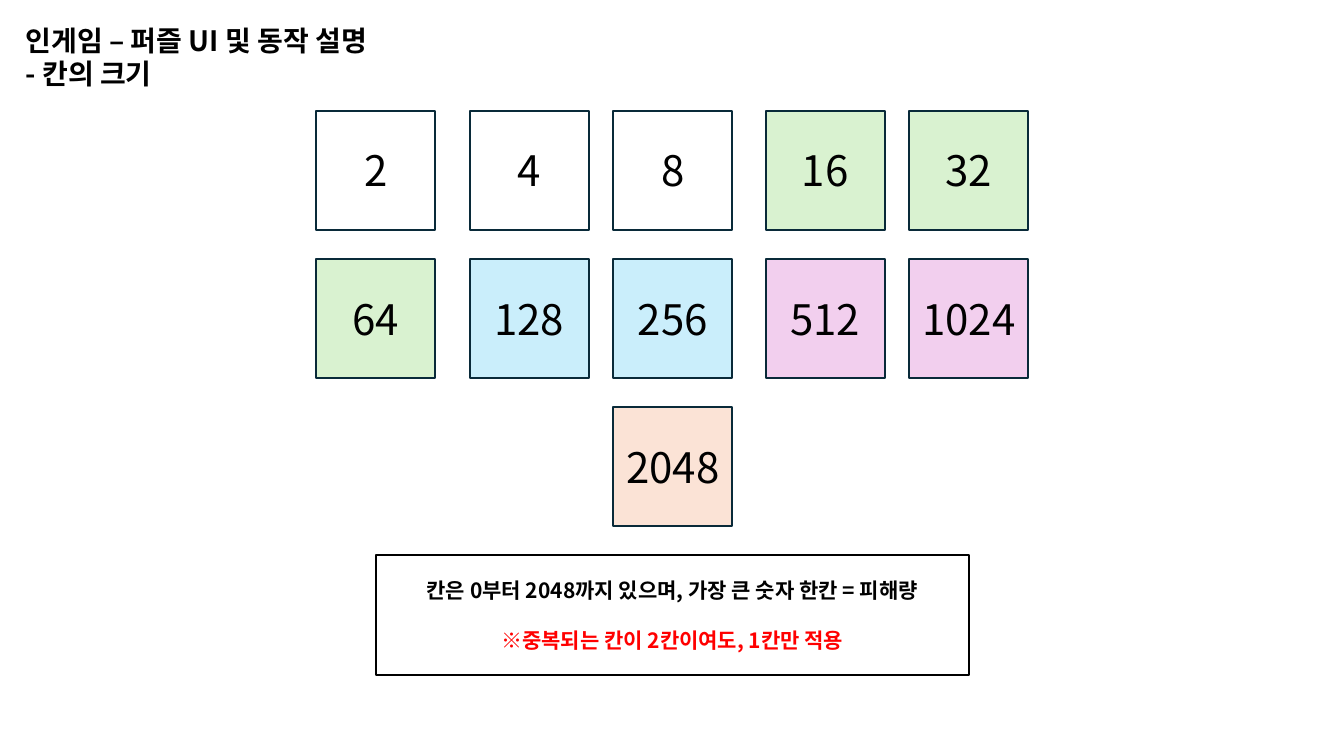
from lxml.etree import SubElement
from pptx import Presentation
from pptx.dml.color import RGBColor
from pptx.enum.shapes import MSO_SHAPE
from pptx.enum.text import MSO_ANCHOR, PP_ALIGN
from pptx.oxml.ns import qn
from pptx.util import Pt

FONT = "Noto Sans CJK KR"


def color(value):
    return RGBColor.from_string(value)


def write(shape, lines, size, bold, align):
    """Fill a shape with one paragraph per (text, colour) pair."""
    frame = shape.text_frame
    frame.word_wrap = True
    frame.vertical_anchor = MSO_ANCHOR.MIDDLE
    frame.text = "\n".join(text for text, _ in lines)
    for para, (_, ink) in zip(frame.paragraphs, lines):
        para.alignment = align
        para.font.size = Pt(size)
        para.font.bold = bold
        para.font.name = FONT
        para.font.color.rgb = color(ink)
        # Korean letters take the East Asian typeface
        SubElement(para.font._element, qn("a:ea"), typeface=FONT)


deck = Presentation()
deck.slide_width, deck.slide_height = Pt(960), Pt(540)
page = deck.slides.add_slide(deck.slide_layouts[5])

# Title
title = page.shapes.title
title.left, title.top, title.width, title.height = Pt(11), Pt(12), Pt(300), Pt(57)
write(title, [("인게임 – 퍼즐 UI 및 동작 설명", "000000"), ("- 칸의 크기", "000000")],
      20, True, PP_ALIGN.LEFT)

# Number tiles: the value doubles from tile to tile, the last one sits centred
WHITE, GREEN, BLUE, PINK, PEACH = "FFFFFF", "D9F2D0", "CAEEFB", "F2CFEE", "FBE3D6"
tile_rows = [
    [WHITE, WHITE, WHITE, GREEN, GREEN],
    [GREEN, BLUE, BLUE, PINK, PINK],
    [None, None, PEACH, None, None],
]
column_lefts = [226, 335.5, 438, 547, 649.5]
number = 2
for row, fills in enumerate(tile_rows):
    for left, fill in zip(column_lefts, fills):
        if fill is None:
            continue
        tile = page.shapes.add_shape(
            MSO_SHAPE.RECTANGLE, Pt(left), Pt(79 + 106 * row), Pt(85), Pt(85))
        tile.shadow.inherit = False
        tile.fill.solid()
        tile.fill.fore_color.rgb = color(fill)
        tile.line.color.rgb = color("092A39")
        tile.line.width = Pt(1.5)
        write(tile, [(str(number), "000000")], 30, False, PP_ALIGN.CENTER)
        number *= 2

# Rule note
note = page.shapes.add_shape(
    MSO_SHAPE.RECTANGLE, Pt(268.5), Pt(396.5), Pt(423.5), Pt(86))
note.shadow.inherit = False
note.fill.background()
note.line.color.rgb = color("000000")
note.line.width = Pt(1.5)
write(note, [("칸은 0부터 2048까지 있으며, 가장 큰 숫자 한칸 = 피해량", "000000"),
             ("※중복되는 칸이 2칸이여도, 1칸만 적용", "FF0000")],
      15, True, PP_ALIGN.CENTER)
note.text_frame.paragraphs[1].space_before = Pt(18)

deck.save("out.pptx")
